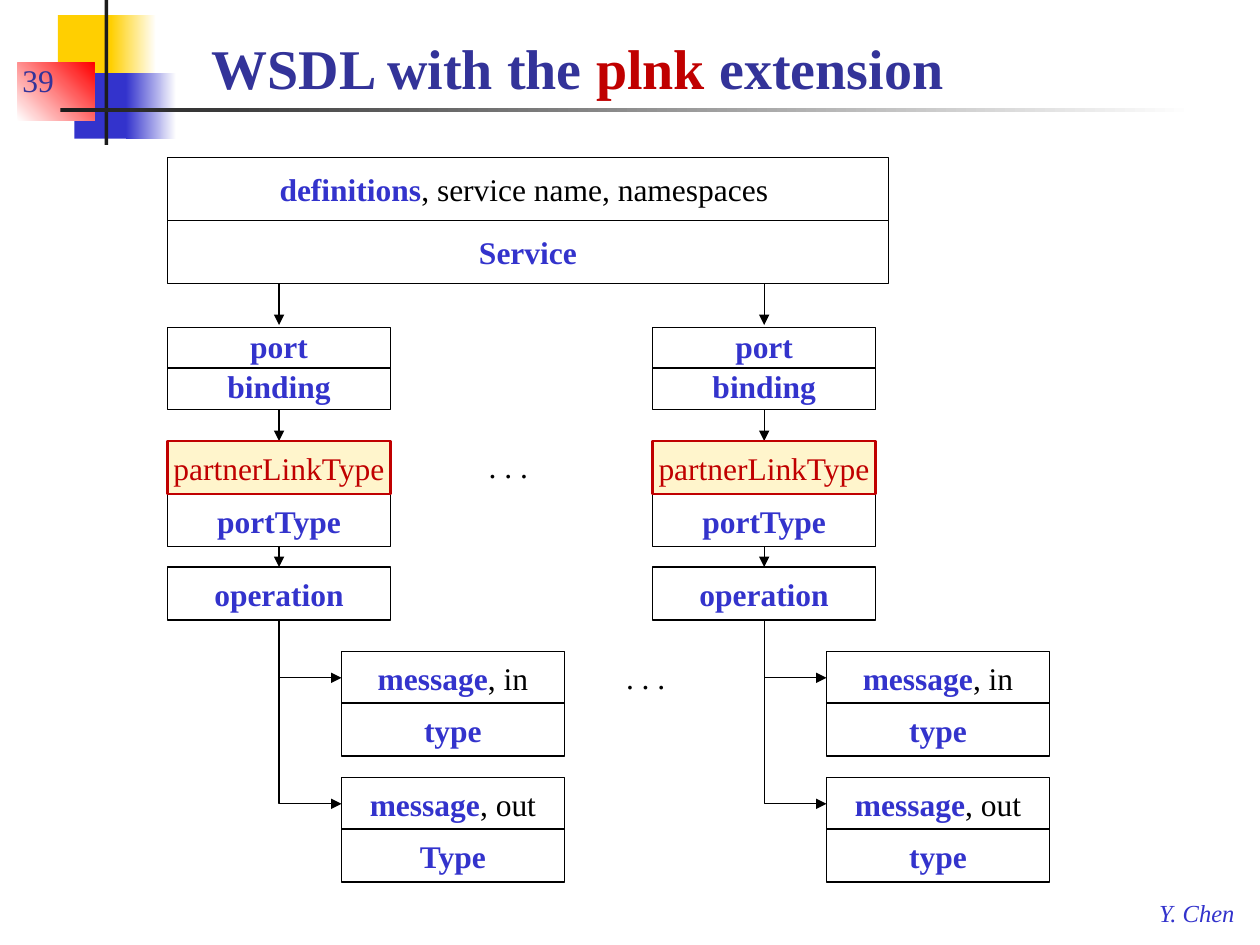
"""Build the slide on WSDL with the plnk extension."""
from pptx import Presentation
from pptx.dml.color import RGBColor
from pptx.enum.shapes import MSO_CONNECTOR, MSO_SHAPE
from pptx.enum.text import MSO_ANCHOR, MSO_AUTO_SIZE, PP_ALIGN
from pptx.oxml.ns import qn
from pptx.util import Inches, Pt
from lxml import etree

FONT = "Times New Roman"
BLACK = RGBColor(0, 0, 0)
WHITE = RGBColor(255, 255, 255)
BLUE = RGBColor(0x33, 0x33, 0xCC)
NAVY = RGBColor(0x33, 0x33, 0x99)
RED = RGBColor(0xC0, 0, 0)
BRIGHT = RGBColor(255, 0, 0)
GOLD = RGBColor(0xFF, 0xCF, 0x01)
CREAM = RGBColor(0xFF, 0xF5, 0xCC)
DARK = RGBColor(0x1C, 0x1C, 0x1C)

DECOR = [
    ((0.46, 0.12, 0.48, 0.52), [GOLD], 0),
    ((0.88, 0.12, 0.36, 0.52), [GOLD, WHITE], 0),
    ((0.59, 0.58, 0.46, 0.52), [BLUE], 0),
    ((1, 0.58, 0.4, 0.52), [BLUE, WHITE], 0),
    ((0.14, 0.5, 0.61, 0.46), [WHITE, BRIGHT], 45),
    ((0.83, 0, 0.03, 1.15), [DARK], 0),
    ((0.48, 0.86, 9, 0.03), [DARK, WHITE], 0),
]
TITLE = [("WSDL with the ", NAVY, True), ("plnk", RED, True),
         (" extension", NAVY, True)]
HEAD = [
    (1.25, [("definitions", BLUE, True),
            (", service name, namespaces ", BLACK, False)]),
    (1.75, [("Service", BLUE, True)]),
]
STACK = [("port", 2.6, 0.32, 0.9), ("binding", 2.92, 0.33, 0.9),
         ("portType", 3.92, 0.42, None), ("operation", 4.5, 0.42, None)]
ARROWS = [(2.25, 2.58), (3.25, 3.5), (4.34, 4.5)]
PAIRS = [(5.17, ", in"), (6.17, ", out")]
COLUMNS = [(1.33, ["type", "Type"]), (5.18, ["type", "type"])]
DOTS = [(3.78, 3.5), (4.87, 5.17)]
WIDE, TALL, SHIFT = 1.77, 0.42, 1.38

deck = Presentation()
deck.slide_width, deck.slide_height = Inches(10), Inches(7.5)
slide = deck.slides.add_slide(deck.slide_layouts[6])
shapes = slide.shapes


def write(frame, runs, size=18, italic=False, align=None, space=None):
    para = frame.paragraphs[0]
    para.alignment = align
    para.line_spacing = space
    for text, color, bold in runs:
        run = para.add_run()
        run.text = text
        font = run.font
        font.name, font.size = FONT, Pt(size)
        font.bold, font.italic = bold, italic
        font.color.rgb = color


def label(at, runs, wrap=False, anchor=MSO_ANCHOR.TOP, **style):
    frame = shapes.add_textbox(*map(Inches, at)).text_frame
    frame.word_wrap = wrap
    frame.auto_size = MSO_AUTO_SIZE.NONE if wrap else MSO_AUTO_SIZE.SHAPE_TO_FIT_TEXT
    frame.vertical_anchor = anchor
    write(frame, runs, **style)


def block(at, colors, angle=0):
    shape = shapes.add_shape(MSO_SHAPE.RECTANGLE, *map(Inches, at))
    shape.shadow.inherit = False
    shape.line.fill.background()
    if len(colors) == 1:
        shape.fill.solid()
        shape.fill.fore_color.rgb = colors[0]
    else:
        shape.fill.gradient()
        shape.fill.gradient_angle = angle
        for stop, color in zip(shape.fill.gradient_stops, colors):
            stop.color.rgb = color
    return shape


def box(at, runs, fill=WHITE, edge=BLACK, weight=0.75, space=None):
    shape = block(at, [fill])
    shape.line.color.rgb = edge
    shape.line.width = Pt(weight)
    frame = shape.text_frame
    frame.word_wrap = False
    frame.vertical_anchor = MSO_ANCHOR.MIDDLE
    write(frame, runs, align=PP_ALIGN.CENTER, space=space)


def arrow(kind, *ends):
    link = shapes.add_connector(kind, *map(Inches, ends))
    link.line.color.rgb = BLACK
    link.line.width = Pt(0.75)
    props = link.element.spPr
    tip = etree.SubElement(props.find(qn("a:ln")), qn("a:tailEnd"))
    tip.set("type", "triangle")
    etree.SubElement(props, qn("a:effectLst"))
    return props


def bend(left, top, right, low):
    midx, midy = (left + right) / 2, (top + low) / 2
    halfx, halfy = (right - left) / 2, (low - top) / 2
    props = arrow(MSO_CONNECTOR.ELBOW, midx - halfy, midy - halfx,
                  midx + halfy, midy + halfx)
    frame = props.find(qn("a:xfrm"))
    frame.set("rot", str(270 * 60000))
    frame.set("flipH", "1")
    props.find(qn("a:prstGeom")).set("prst", "bentConnector2")


for at, colors, angle in DECOR:
    block(at, colors, angle)
label((9.1, 7.08, 0.82, 0.33), [("Y. Chen", BLUE, False)], size=14, italic=True)
label((1.58, 0.17, 8.33, 0.68), TITLE, True, MSO_ANCHOR.BOTTOM, size=32)
label((0.08, 0.33, 0.78, 0.5), [("39", NAVY, False)], True, MSO_ANCHOR.BOTTOM)

for top, runs in HEAD:
    box((1.33, top, 5.72, 0.5), runs)
for left, top in DOTS:
    label((left, top, 0.61, 0.4), [(". . .", BLACK, False)])

for left, types in COLUMNS:
    mid, inner = left + WIDE / 2, left + SHIFT
    for name, top, high, space in STACK:
        box((left, top, WIDE, high), [(name, BLUE, True)], space=space)
    for (top, way), kind in zip(PAIRS, types):
        box((inner, top, WIDE, TALL),
            [("message", BLUE, True), (way, BLACK, False)])
        box((inner, top + 0.41, WIDE, TALL), [(kind, BLUE, True)])
        bend(mid, 4.92, inner, top + TALL / 2)
    for top, low in ARROWS:
        arrow(MSO_CONNECTOR.STRAIGHT, mid, top, mid, low)
    box((left, 3.5, WIDE, TALL), [("partnerLinkType", RED, False)],
        CREAM, RED, 1.5)

deck.save("out.pptx")
